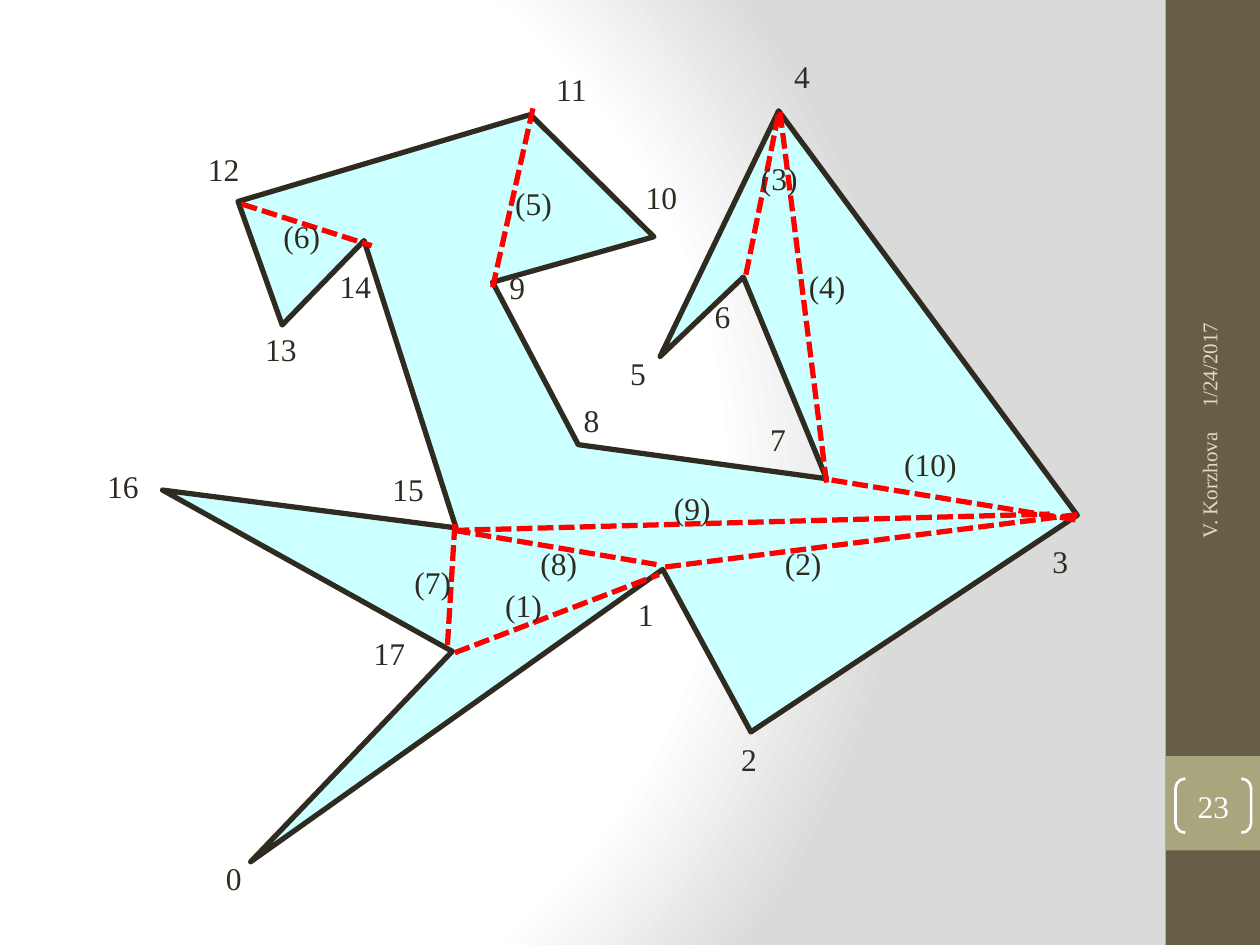
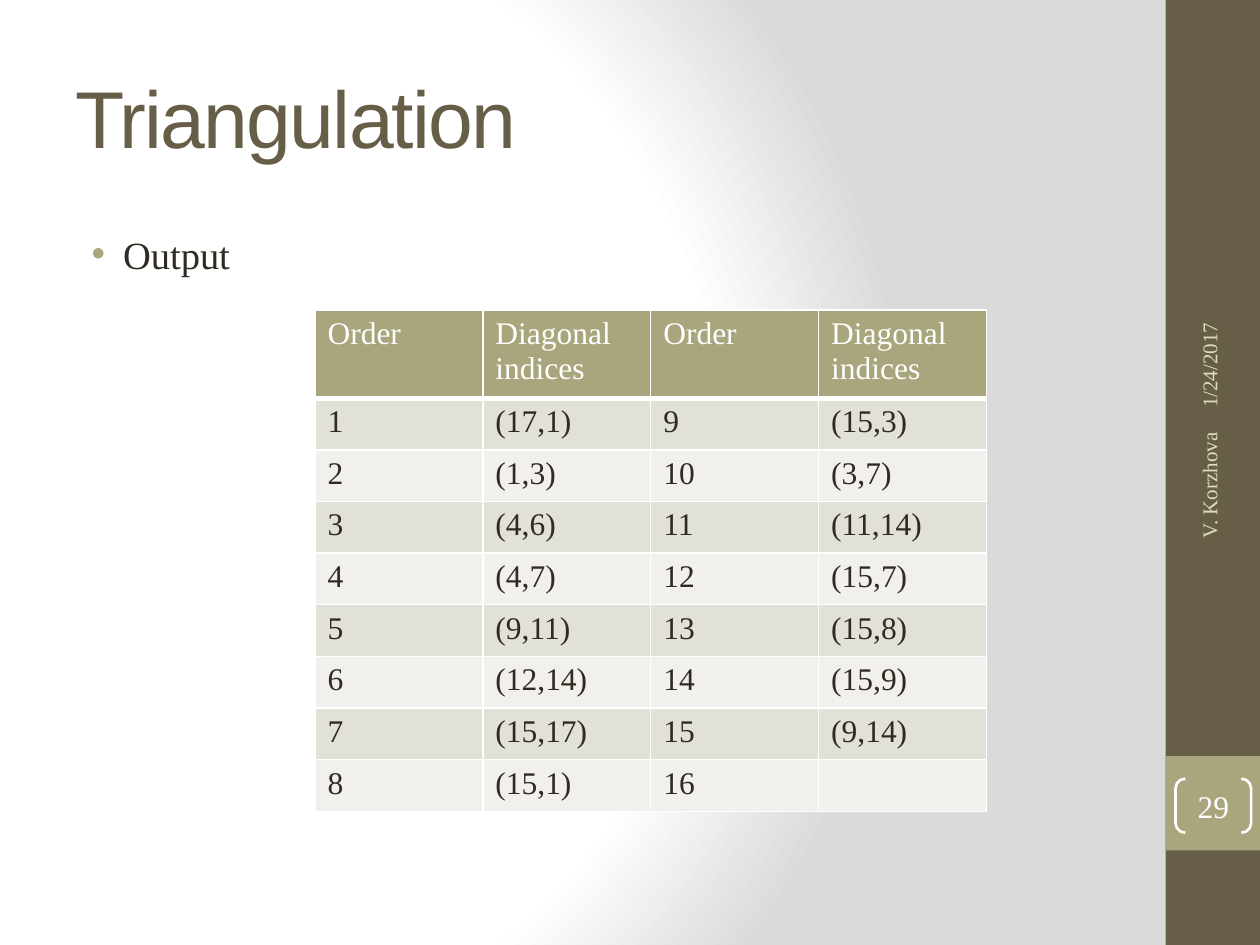
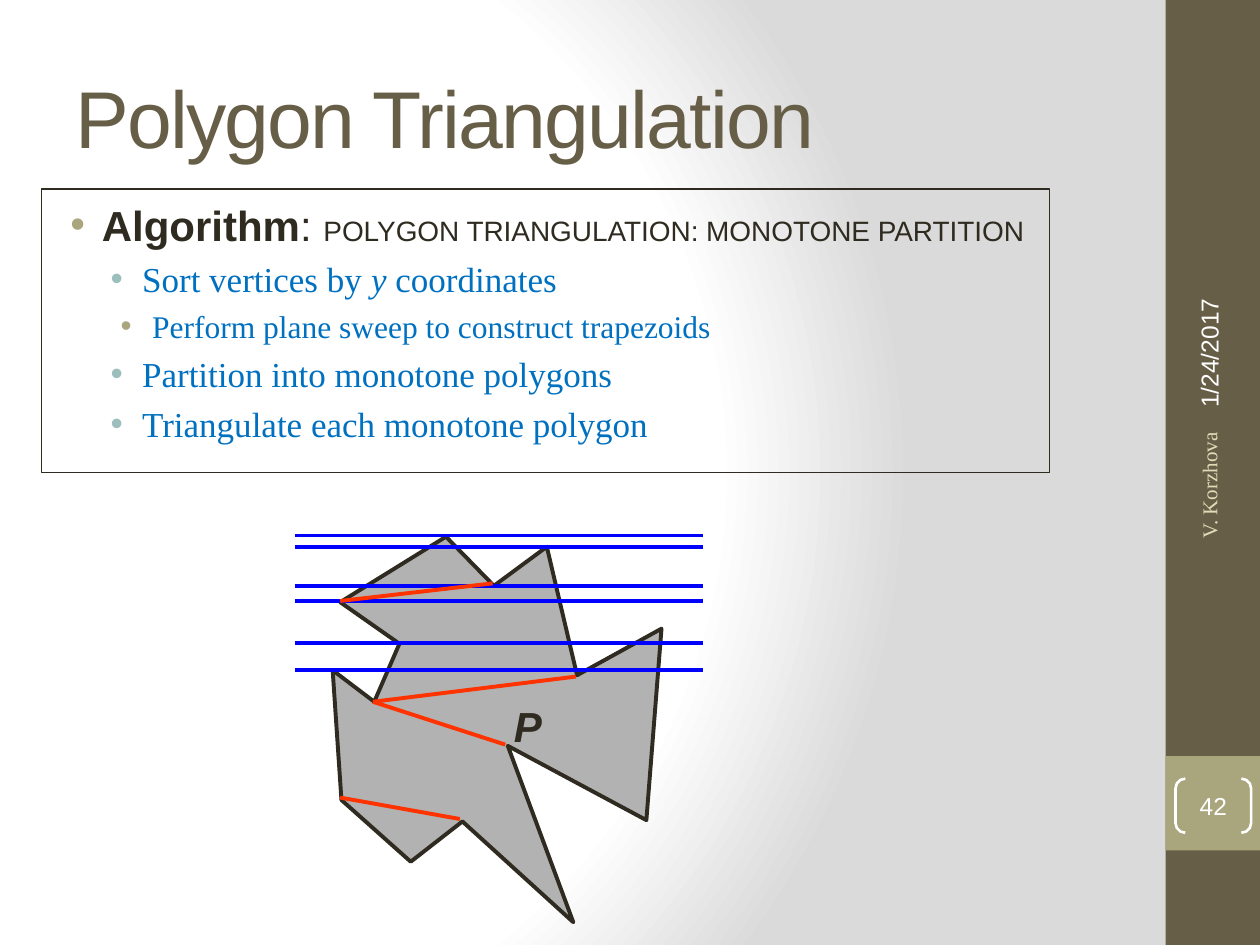
"""Build three slides on polygon triangulation."""
from dataclasses import dataclass
from typing import Any, NamedTuple

from pptx import Presentation
from pptx.dml.color import RGBColor
from pptx.enum.dml import MSO_LINE
from pptx.enum.shapes import MSO_CONNECTOR, MSO_SHAPE
from pptx.enum.text import MSO_ANCHOR, PP_ALIGN
from pptx.oxml import parse_xml
from pptx.oxml.ns import nsdecls, qn
from pptx.util import Pt

PX = 9144
RECTANGLE, BRACKETS = MSO_SHAPE.RECTANGLE, MSO_SHAPE.DOUBLE_BRACKET
STRAIGHT, DASHED = MSO_CONNECTOR.STRAIGHT, MSO_LINE.SQUARE_DOT
MIDDLE, TOP = MSO_ANCHOR.MIDDLE, MSO_ANCHOR.TOP
LEFT, CENTER, RIGHT = PP_ALIGN.LEFT, PP_ALIGN.CENTER, PP_ALIGN.RIGHT
SANS, SERIF = "Arial", "Times New Roman"
COLORS = {
    "white": "FFFFFF", "backdrop": "DADADA", "band": "675E47", "accent": "A9A57C",
    "footer": "DFDCB7", "ink": "2F2B20", "sub_bullet": "9CBEBD", "step": "0070C0",
    "dark_row": "E2E1D7", "light_row": "F1F0EC", "region": "CCFFFF", "diagonal": "FF0000",
    "monotone": "B2B2B2", "sweep": "0000FF", "partition": "FF3300",
}


class Box(NamedTuple):
    """Left, top, width and height in px."""
    left: int
    top: int
    width: int
    height: int = 40


class Point(NamedTuple):
    """A position in px."""
    x: int
    y: int


@dataclass(frozen=True)
class Style:
    """Look of a run of text."""
    size: int = 18
    font: str = SERIF
    color: str = "ink"
    bold: bool = False
    italic: bool = False
    spacing: int = 0


@dataclass(frozen=True)
class Stroke:
    """Look of a line."""
    color: str
    width: float
    dash: Any = None


@dataclass(frozen=True)
class Bullet:
    """A bulleted paragraph with its indent in px."""
    runs: tuple[tuple[str, Style], ...]
    indent: int
    color: str = "accent"


@dataclass(frozen=True)
class Diagonal:
    """A numbered diagonal and the place of its label."""
    start: Point
    end: Point
    label: Box


LABEL = Style()
TITLE = Style(46, SANS, "band", spacing=-100)
FOOTER = Style(12, color="footer")
LATE_FOOTER = Style(14, SANS, "white")
PAGE = Style(color="white")
STEP = Style(20, color="step")
SUBSTEP = Style(18, color="step")

TITLE_BOX = Box(50, 30, 833, 125)
DATE_BOX = Box(826, 180, 267)
AUTHOR_BOX = Box(830, 443, 259)
PAGE_BOX = Box(933, 618, 60, 43)
BANDS = ((Box(925, 0, 75, 750), "band"), (Box(925, 600, 75, 75), "accent"))

VERTICES = [Point(*xy) for xy in (
    (199, 684), (526, 452), (596, 581), (855, 409), (618, 88), (524, 283), (590, 220),
    (656, 380), (459, 353), (391, 224), (519, 188), (421, 91), (189, 160), (224, 258),
    (289, 191), (362, 419), (129, 389), (359, 517))]
VERTEX_LABELS = [Box(*box) for box in (
    (169, 677, 33), (496, 467, 33), (578, 582, 33), (825, 425, 33), (620, 40, 33),
    (490, 276, 33), (557, 231, 33), (601, 328, 33), (453, 313, 33), (394, 208, 33),
    (501, 136, 48), (426, 51, 55), (142, 114, 71), (189, 257, 68), (253, 207, 58),
    (292, 368, 64), (67, 366, 61), (282, 498, 54))]
DIAGONALS = [
    Diagonal(Point(361, 518), Point(523, 456), Box(389, 460, 53)),
    Diagonal(Point(528, 450), Point(858, 408), Box(611, 427, 53)),
    Diagonal(Point(592, 218), Point(618, 90), Box(592, 121, 53)),
    Diagonal(Point(656, 383), Point(619, 88), Box(630, 207, 53)),
    Diagonal(Point(423, 86), Point(391, 228), Box(397, 141, 53)),
    Diagonal(Point(192, 162), Point(295, 195), Box(213, 167, 53)),
    Diagonal(Point(361, 416), Point(355, 514), Box(317, 442, 53)),
    Diagonal(Point(361, 421), Point(521, 448), Box(417, 427, 53)),
    Diagonal(Point(360, 421), Point(833, 408), Box(523, 383, 53)),
    Diagonal(Point(660, 381), Point(856, 413), Box(702, 348, 73)),
]

HEADINGS = ("Order", "Diagonal indices") * 2
OUTPUT = ("(17,1)", "(1,3)", "(4,6)", "(4,7)", "(9,11)", "(12,14)", "(15,17)", "(15,1)",
          "(15,3)", "(3,7)", "(11,14)", "(15,7)", "(15,8)", "(15,9)", "(9,14)", "")
ROWS_PER_HALF = len(OUTPUT) // 2

ALGORITHM = (
    Bullet((("Algorithm", Style(24, SANS, bold=True)), (": ", Style(24, SANS)),
            ("POLYGON TRIANGULATION: MONOTONE PARTITION", Style(16, SANS))), 38),
    Bullet((("Sort vertices by ", STEP), ("y", Style(20, color="step", italic=True)),
            (" coordinates", STEP)), 70, "sub_bullet"),
    Bullet((("Perform plane sweep to construct trapezoids", SUBSTEP),), 78),
    Bullet((("Partition into monotone polygons", STEP),), 70, "sub_bullet"),
    Bullet((("Triangulate each monotone polygon", STEP),), 70, "sub_bullet"),
)
MONOTONE_OUTLINE = [Point(*xy) for xy in (
    (455, 732), (367, 652), (326, 684), (271, 635), (264, 532), (297, 557), (317, 511),
    (270, 478), (354, 426), (392, 465), (434, 434), (458, 536), (525, 499), (513, 651),
    (403, 592))]
SWEEP_LEVELS = (425, 434, 465, 477, 510, 532)
PARTITIONS = (
    (Point(391, 463), Point(270, 477)), (Point(457, 537), Point(296, 557)),
    (Point(401, 591), Point(296, 557)), (Point(365, 650), Point(270, 633)),
)


def rgb(name: str) -> RGBColor:
    """Look up a colour."""
    return RGBColor.from_string(COLORS[name])


def emu(lengths: tuple[int, ...]) -> list[int]:
    """Turn px into EMU."""
    return [length * PX for length in lengths]


def assign(target: Any, values: dict[str, Any]) -> None:
    """Set each named attribute of the target."""
    for name, value in values.items():
        setattr(target, name, value)


def add_run(paragraph: Any, text: str, style: Style) -> None:
    """Append styled text to a paragraph."""
    run = paragraph.add_run()
    run.text = text
    assign(run.font, {"size": Pt(style.size), "name": style.font,
                      "bold": style.bold, "italic": style.italic})
    run.font.color.rgb = rgb(style.color)
    if style.spacing:
        run.font._element.set("spc", str(style.spacing))


def add_text(slide: Any, box: Box, text: str, style: Style, align: Any = LEFT,
             anchor: Any = MIDDLE, wrap: bool = True, rotation: int = 0) -> None:
    """Draw one line of text in a box."""
    holder = slide.shapes.add_textbox(*emu(box))
    holder.rotation = rotation
    assign(holder.text_frame, {"word_wrap": wrap, "vertical_anchor": anchor})
    paragraph = holder.text_frame.paragraphs[0]
    paragraph.alignment = align
    add_run(paragraph, text, style)


def add_label(slide: Any, box: Box, text: str) -> None:
    """Draw a centred label of the figure."""
    add_text(slide, box, text, LABEL, CENTER, wrap=False)


def paint(shape: Any, fill: str | None, stroke: Stroke | None) -> None:
    """Set the fill and outline of a shape."""
    shape.shadow.inherit = False
    if fill:
        shape.fill.solid()
        shape.fill.fore_color.rgb = rgb(fill)
    else:
        shape.fill.background()
    if stroke:
        shape.line.color.rgb = rgb(stroke.color)
        shape.line.width = Pt(stroke.width)
    else:
        shape.line.fill.background()


def add_polygon(slide: Any, points: list[Point], fill: str, stroke: Stroke) -> None:
    """Draw a closed outline."""
    builder = slide.shapes.build_freeform(*points[0], scale=PX)
    builder.add_line_segments(points[1:], close=True)
    paint(builder.convert_to_shape(), fill, stroke)


def add_line(slide: Any, start: Point, end: Point, stroke: Stroke) -> None:
    """Draw a straight line."""
    segment = slide.shapes.add_connector(STRAIGHT, *emu(start), *emu(end))
    segment.line.color.rgb = rgb(stroke.color)
    assign(segment.line, {"width": Pt(stroke.width), "dash_style": stroke.dash})
    segment._element.spPr.append(parse_xml(f"<a:effectLst {nsdecls('a')}/>"))


def add_bullets(slide: Any, box: Box, bullets: tuple[Bullet, ...],
                stroke: Stroke | None = None) -> None:
    """Draw a box of bulleted paragraphs."""
    panel = slide.shapes.add_shape(RECTANGLE, *emu(box))
    paint(panel, None, stroke)
    frame = panel.text_frame
    assign(frame, {"word_wrap": True, "vertical_anchor": TOP, "margin_top": 8 * PX})
    for index, bullet in enumerate(bullets):
        paragraph = frame.add_paragraph() if index else frame.paragraphs[0]
        properties = paragraph._p.get_or_add_pPr()
        properties.set("marL", str(bullet.indent * PX))
        properties.set("indent", str(-25 * PX))
        for markup in (
            f'<a:buClr {nsdecls("a")}><a:srgbClr val="{COLORS[bullet.color]}"/></a:buClr>',
            f'<a:buFont {nsdecls("a")} typeface="{SANS}"/>',
            f'<a:buChar {nsdecls("a")} char="•"/>',
        ):
            properties.append(parse_xml(markup))
        paragraph.alignment = LEFT
        if index:
            paragraph.space_before = Pt(round(bullet.runs[0][1].size * 0.23, 1))
        for text, style in bullet.runs:
            add_run(paragraph, text, style)


def set_backdrop(slide: Any) -> None:
    """Give the slide its circular gradient."""
    slide.background.fill.gradient()
    linear = slide.element.find(".//" + qn("a:gradFill"))
    stops = "".join(
        f'<a:gs pos="{place * 1000}"><a:srgbClr val="{COLORS[name]}"/></a:gs>'
        for place, name in ((0, "white"), (75, "white"), (100, "backdrop")))
    linear.getparent().replace(linear, parse_xml(
        f'<a:gradFill {nsdecls("a")} rotWithShape="1"><a:gsLst>{stops}</a:gsLst>'
        '<a:path path="circle"><a:fillToRect l="20000" t="50000" r="100000" b="50000"/>'
        "</a:path></a:gradFill>"))


def start_slide(deck: Any, page: int, title: str = "", date_style: Style = FOOTER,
                page_style: Style = PAGE) -> Any:
    """Add a slide with its bands, footers and title."""
    slide = deck.slides.add_slide(deck.slide_layouts[6])
    set_backdrop(slide)
    for box, color in BANDS:
        paint(slide.shapes.add_shape(RECTANGLE, *emu(box)), color, None)
    add_text(slide, DATE_BOX, "1/24/2017", date_style, rotation=270)
    add_text(slide, AUTHOR_BOX, "V. Korzhova", FOOTER, RIGHT, rotation=270)
    brackets = slide.shapes.add_shape(BRACKETS, *emu(PAGE_BOX))
    brackets.adjustments[0] = 0.18
    paint(brackets, None, Stroke("white", 1.5))
    frame = brackets.text_frame
    assign(frame, {"margin_left": 0, "margin_right": 0, "margin_top": 0,
                   "margin_bottom": 0, "vertical_anchor": MIDDLE})
    frame.paragraphs[0].alignment = CENTER
    add_run(frame.paragraphs[0], str(page), page_style)
    if title:
        add_text(slide, TITLE_BOX, title, TITLE)
    return slide


def fill_cell(cell: Any, text: str, style: Style, fill: str, bottom: int) -> None:
    """Write, edge and colour a table cell."""
    properties = cell._tc.get_or_add_tcPr()
    for side, width in (("L", 1), ("R", 1), ("T", 1), ("B", bottom)):
        properties.append(parse_xml(
            f'<a:ln{side} {nsdecls("a")} w="{Pt(width)}"><a:solidFill>'
            f'<a:srgbClr val="{COLORS["white"]}"/></a:solidFill></a:ln{side}>'))
    cell.fill.solid()
    cell.fill.fore_color.rgb = rgb(fill)
    if text:
        add_run(cell.text_frame.paragraphs[0], text, style)


def add_output_table(slide: Any) -> None:
    """Draw the diagonals in two halves side by side."""
    rows = [HEADINGS] + [
        (str(order + 1), OUTPUT[order],
         str(order + 1 + ROWS_PER_HALF), OUTPUT[order + ROWS_PER_HALF])
        for order in range(ROWS_PER_HALF)]
    table = slide.shapes.add_table(
        len(rows), len(HEADINGS), *emu(Box(250, 246, 533, 394))).table
    assign(table, {"first_row": False, "horz_banding": False})
    for row_index, texts in enumerate(rows):
        heading = row_index == 0
        table.rows[row_index].height = (64 if heading else 41) * PX
        band = "accent" if heading else "dark_row" if row_index % 2 else "light_row"
        for column, text in enumerate(texts):
            fill_cell(table.cell(row_index, column), text, PAGE if heading else LABEL,
                      band, 3 if heading else 1)


def build_diagonals(deck: Any) -> None:
    """Show the polygon with its numbered diagonals."""
    slide = start_slide(deck, 23)
    add_polygon(slide, VERTICES, "region", Stroke("ink", 3))
    for number, box in enumerate(VERTEX_LABELS):
        add_label(slide, box, str(number))
    for diagonal in DIAGONALS:
        add_line(slide, diagonal.start, diagonal.end, Stroke("diagonal", 3, DASHED))
    for order, diagonal in enumerate(DIAGONALS, 1):
        add_label(slide, diagonal.label, f"({order})")


def build_output(deck: Any) -> None:
    """Show the table of diagonals."""
    slide = start_slide(deck, 29, "Triangulation")
    add_bullets(slide, Box(50, 175, 833, 525), (Bullet((("Output", Style(22)),), 38),))
    add_output_table(slide)


def build_algorithm(deck: Any) -> None:
    """Show the monotone partition algorithm."""
    slide = start_slide(deck, 42, "Polygon Triangulation", LATE_FOOTER, LATE_FOOTER)
    add_bullets(slide, Box(33, 150, 800, 225), ALGORITHM, Stroke("ink", 0.75))
    add_polygon(slide, MONOTONE_OUTLINE, "monotone", Stroke("ink", 2.25))
    add_text(slide, Box(398, 551, 52, 34), "P",
             Style(24, SANS, bold=True, italic=True), anchor=TOP)
    for level in SWEEP_LEVELS:
        add_line(slide, Point(234, level), Point(558, level), Stroke("sweep", 2.25))
    for start, end in PARTITIONS:
        add_line(slide, start, end, Stroke("partition", 2.25))


def main() -> None:
    """Build and save the deck."""
    deck = Presentation()
    assign(deck, {"slide_width": 1000 * PX, "slide_height": 750 * PX})
    for build in (build_diagonals, build_output, build_algorithm):
        build(deck)
    deck.save("out.pptx")


if __name__ == "__main__":
    main()
